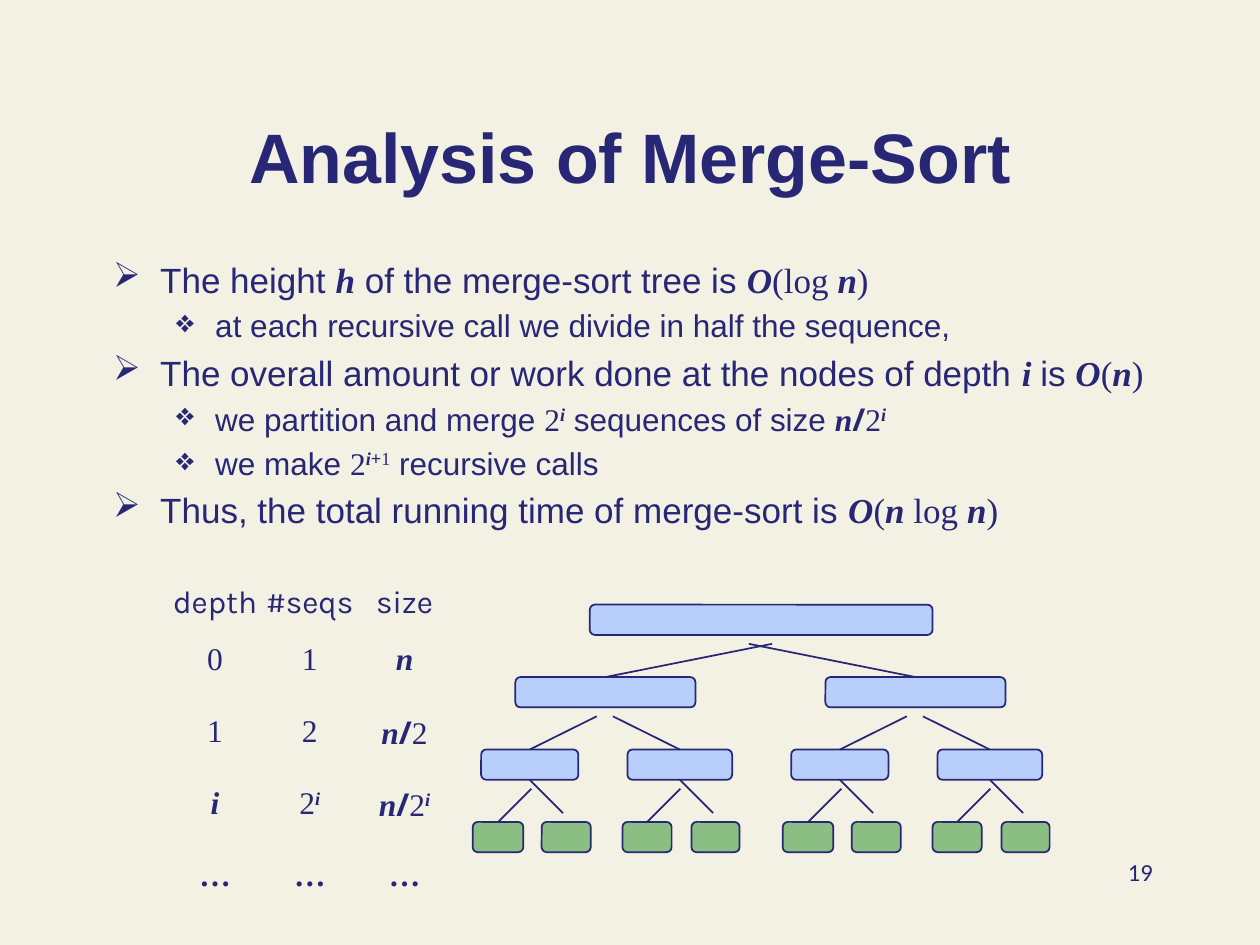
from dataclasses import dataclass
from enum import Enum
from typing import NamedTuple

import pptx
import pptx.dml.color
import pptx.enum.shapes
import pptx.enum.text
import pptx.oxml
import pptx.oxml.ns
import pptx.util
from lxml import etree

Cm = pptx.util.Cm
Pt = pptx.util.Pt
ALIGN = pptx.enum.text.PP_ALIGN
ANCHOR = pptx.enum.text.MSO_ANCHOR
qn = pptx.oxml.ns.qn


@dataclass(frozen=True)
class Theme:
    paper: str = "F3F1E4"
    ink: str = "272776"
    node: str = "B8CFFB"
    leaf: str = "8BBE82"
    sans: str = "Arial"
    title_size: int = 40
    point_size: int = 20
    detail_size: int = 18
    number_size: int = 14


THEME = Theme()


class Style(NamedTuple):
    font: str
    bold: bool = False
    italic: bool = False
    raised: bool = False


class Mark(Enum):
    WORDS = Style(THEME.sans)
    NUM = Style("Times New Roman")
    VAR = Style("Times New Roman", bold=True, italic=True)
    DOTS = Style("Times New Roman", bold=True)
    SLASH = Style("Noto Sans", bold=True)
    EXP_VAR = Style("Times New Roman", bold=True, italic=True, raised=True)
    EXP_PLUS = Style("Noto Sans", raised=True)
    EXP_NUM = Style("Times New Roman", raised=True)
    HEAD = Style("Karla")
    TITLE = Style(THEME.sans, bold=True)
    PAGE = Style("Calibri")


class Piece(NamedTuple):
    text: str
    mark: Mark = Mark.WORDS


class Level(NamedTuple):
    bullet: str
    size: int
    indent: float
    hanging: float
    before: float


class Point(NamedTuple):
    level: Level
    pieces: list[Piece]


class Node(NamedTuple):
    left: float
    width: float


def rgb(code: str):
    return pptx.dml.color.RGBColor.from_string(code)


def set_font(font, style: Style) -> None:
    font.name, font.bold, font.italic = style.font, style.bold, style.italic


def write(paragraph, pieces: list[Piece], size: int, align=ALIGN.LEFT) -> None:
    paragraph.alignment = align
    paragraph.font.size = Pt(size)
    paragraph.font.color.rgb = rgb(THEME.ink)
    uniform = len({piece.mark for piece in pieces}) == 1
    if uniform:
        set_font(paragraph.font, pieces[0].mark.value)
    for piece in pieces:
        run = paragraph.add_run()
        run.text = piece.text
        if not uniform:
            set_font(run.font, piece.mark.value)
        if piece.mark.value.raised:
            run.font._element.set("baseline", "30000")


def add_bullet(paragraph, level: Level) -> None:
    properties = paragraph._p.get_or_add_pPr()
    properties.set("marL", str(Cm(level.indent)))
    properties.set("indent", str(-Cm(level.hanging)))
    bullet = etree.Element(qn("a:buChar"), char=level.bullet)
    properties.find(qn("a:defRPr")).addprevious(bullet)


def add_frame(left: float, top: float, width: float, height: float, anchor=ANCHOR.TOP):
    frame = slide.shapes.add_textbox(Cm(left), Cm(top), Cm(width), Cm(height)).text_frame
    frame.word_wrap = True
    frame.vertical_anchor = anchor
    return frame


def add_node(node: Node, depth: int, shift: float = 0, color: str = THEME.node):
    box = slide.shapes.add_shape(
        pptx.enum.shapes.MSO_SHAPE.ROUNDED_RECTANGLE,
        Cm(node.left + shift), Cm(TREE_TOP + depth * TREE_STEP), Cm(node.width), Cm(NODE_HEIGHT))
    box.shadow.inherit = False
    box.fill.solid()
    box.fill.fore_color.rgb = rgb(color)
    box.line.color.rgb = rgb(THEME.ink)
    box.line.width = Pt(1)
    return box


def add_branch(box, side: int, across: float, down: float) -> None:
    """Draw a line from a node's top (0) or bottom (2) middle by an offset."""
    x = box.left + box.width // 2
    y = box.top + (box.height if side == 2 else 0)
    branch = slide.shapes.add_connector(
        pptx.enum.shapes.MSO_CONNECTOR.STRAIGHT, x, y, x + Cm(across), y + Cm(down))
    branch.begin_connect(box, side)
    branch.line.color.rgb = rgb(THEME.ink)
    branch.line.width = Pt(1)
    etree.SubElement(branch._element.spPr, qn("a:effectLst"))


presentation = pptx.Presentation()
presentation.slide_width, presentation.slide_height = Cm(25.4), Cm(19.05)
slide = presentation.slides.add_slide(presentation.slide_layouts[6])
slide.background.fill.solid()
slide.background.fill.fore_color.rgb = rgb(THEME.paper)

# Title
title = add_frame(1.9, 1.37, 21.6, 2.74, ANCHOR.BOTTOM)
write(title.paragraphs[0], [Piece("Analysis of Merge-Sort", Mark.TITLE)],
      THEME.title_size, ALIGN.CENTER)

# Argument
MAIN = Level("➢", THEME.point_size, 0.95, 0.95, 4)
DETAIL = Level("❖", THEME.detail_size, 2.06, 0.79, 3.6)
BIG_O, OPEN, CLOSE = Piece("O", Mark.VAR), Piece("(", Mark.NUM), Piece(")", Mark.NUM)
N, TWO, SLASH = Piece("n", Mark.VAR), Piece("2", Mark.NUM), Piece("/", Mark.SLASH)
EXP_I = Piece("i", Mark.EXP_VAR)
points = [
    Point(MAIN, [Piece("The height "), Piece("h", Mark.VAR), Piece(" of the merge-sort tree is "),
                 BIG_O, Piece("(log ", Mark.NUM), N, CLOSE]),
    Point(DETAIL, [Piece("at each recursive call we divide in half the sequence,")]),
    Point(MAIN, [Piece("The overall amount or work done at the nodes of depth "),
                 Piece("i ", Mark.VAR), Piece("is "), BIG_O, OPEN, N, CLOSE]),
    Point(DETAIL, [Piece("we partition and merge "), TWO, EXP_I, Piece(" sequences of size "),
                   N, SLASH, TWO, EXP_I]),
    Point(DETAIL, [Piece("we make "), TWO, EXP_I, Piece("+", Mark.EXP_PLUS),
                   Piece("1", Mark.EXP_NUM), Piece(" recursive calls")]),
    Point(MAIN, [Piece("Thus, the total running time of merge-sort is "),
                 BIG_O, OPEN, N, Piece(" log ", Mark.NUM), N, CLOSE]),
]
argument = add_frame(2.03, 5.08, 22.02, 6.15)
for index, point in enumerate(points):
    paragraph = argument.add_paragraph() if index else argument.paragraphs[0]
    paragraph.space_before = Pt(point.level.before if index else 0)
    write(paragraph, point.pieces, point.level.size)
    add_bullet(paragraph, point.level)

# Recursion tree: root, then two equal halves
TREE_TOP, TREE_STEP, NODE_HEIGHT = 12.19, 1.46, 0.61
HALF_SHIFT = 6.25
PARENT = Node(10.39, 3.63)
CHILDREN = [Node(9.7, 1.96), Node(12.65, 2.11)]
LEAVES = [Node(9.53, 1.02), Node(10.92, 0.99), Node(12.55, 0.99), Node(13.94, 0.97)]
add_node(Node(11.89, 6.91), 0)
for shift, inward in ((0, 1), (HALF_SHIFT, -1)):
    add_branch(add_node(PARENT, 1, shift), 0, inward * 3.36, -0.67)
    for child, toward in zip(CHILDREN, (1, -1)):
        child_box = add_node(child, 2, shift)
        add_branch(child_box, 0, toward * 1.35, -0.67)
        add_branch(child_box, 2, 0.67, 0.67)
    for index, leaf in enumerate(LEAVES):
        leaf_box = add_node(leaf, 3, shift, THEME.leaf)
        if index % 2 == 0:
            add_branch(leaf_box, 0, 0.67, -0.67)

# Work per depth
DOTS = Piece("…", Mark.DOTS)
work_rows = [
    [[Piece(word, Mark.HEAD)] for word in ("depth", "#seqs", "size")],
    [[Piece("0", Mark.NUM)], [Piece("1", Mark.NUM)], [N]],
    [[Piece("1", Mark.NUM)], [TWO], [N, SLASH, TWO]],
    [[Piece("i", Mark.VAR)], [TWO, EXP_I], [N, SLASH, TWO, EXP_I]],
    [[DOTS]] * 3,
]
HEAD_HEIGHT, ROW_HEIGHT, COLUMN_WIDTH = 0.79, 1.45, 1.91
work = slide.shapes.add_table(5, 3, Cm(3.38), Cm(11.79), Cm(3 * COLUMN_WIDTH),
                              Cm(HEAD_HEIGHT + 4 * ROW_HEIGHT)).table
work.first_row = work.horz_banding = False
NO_STYLE_NO_GRID = "{2D5ABB26-0587-4C30-8999-92F81FD0307C}"
work._tbl.tblPr.find(qn("a:tableStyleId")).text = NO_STYLE_NO_GRID
for column in work.columns:
    column.width = Cm(COLUMN_WIDTH)
for index, (row, entries) in enumerate(zip(work.rows, work_rows)):
    row.height = Cm(ROW_HEIGHT if index else HEAD_HEIGHT)
    for cell, pieces in zip(row.cells, entries):
        cell.fill.background()
        cell.margin_left = cell.margin_right = cell.margin_top = cell.margin_bottom = 0
        cell.vertical_anchor = ANCHOR.MIDDLE if index else ANCHOR.TOP
        write(cell.text_frame.paragraphs[0], pieces, THEME.detail_size, ALIGN.CENTER)

# Page number
page = add_frame(18.21, 17.15, 5.28, 1.27)
write(page.paragraphs[0], [Piece("19", Mark.PAGE)], THEME.number_size, ALIGN.RIGHT)

presentation.save("out.pptx")
